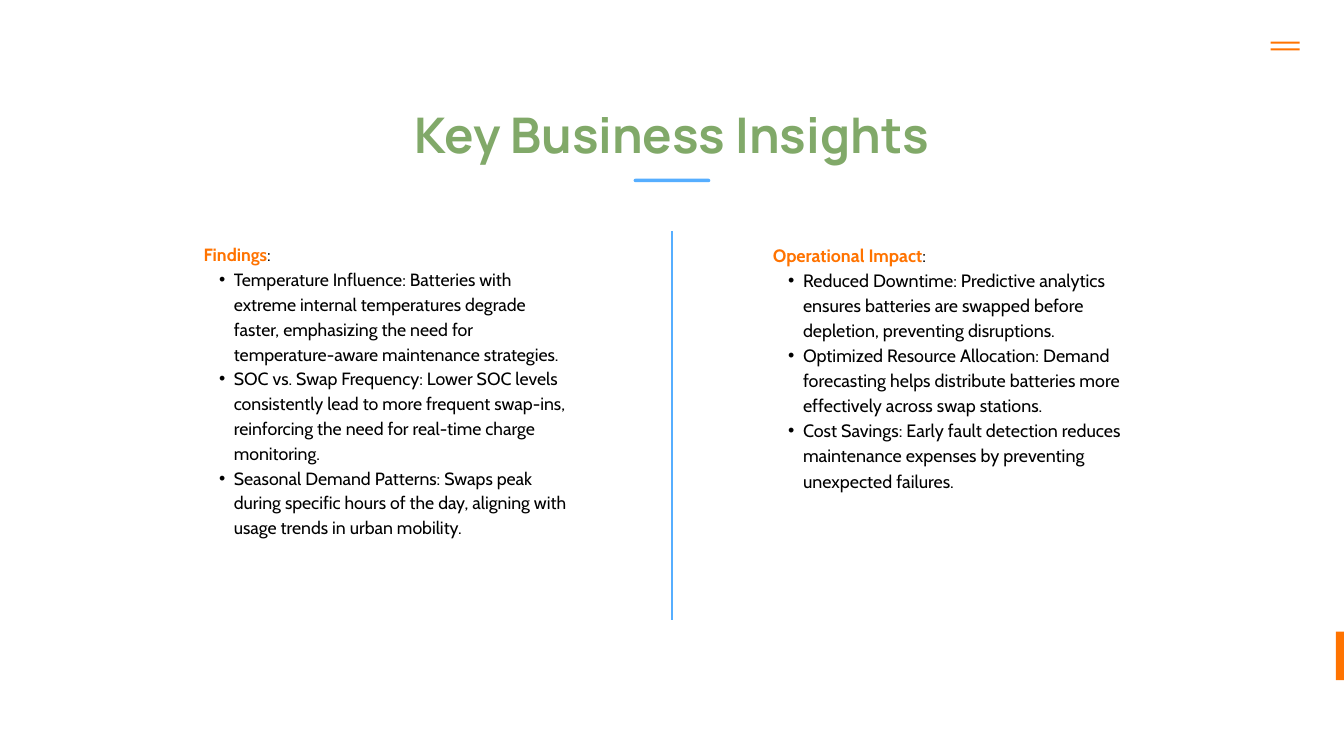
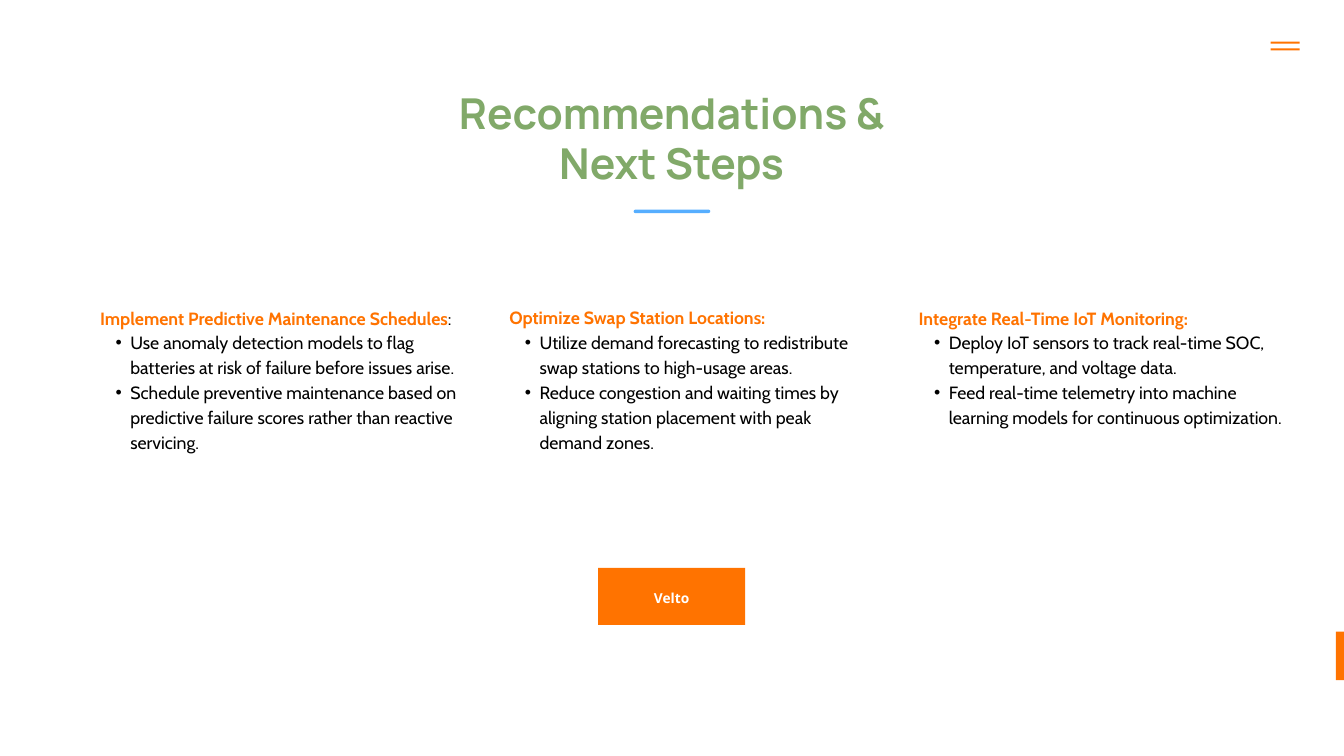
from dataclasses import dataclass

from lxml import etree
from pptx import Presentation
from pptx import util as u
from pptx.dml.color import RGBColor
from pptx.enum import shapes, text
from pptx.oxml import ns

In = u.Inches


@dataclass(frozen=True)
class Theme:
    orange: RGBColor = RGBColor.from_string("FF7300")
    blue: RGBColor = RGBColor.from_string("56AEFF")
    green: RGBColor = RGBColor.from_string("81A969")
    black: RGBColor = RGBColor.from_string("000000")
    white: RGBColor = RGBColor.from_string("FFFFFF")
    head: str = "Manrope"
    body: str = "Cabin"
    label: str = "Open Sans"
    label_size: float = 14.7
    leading: float = 1.4


@dataclass(frozen=True)
class Box:
    left: float
    top: float
    width: float
    height: float

    def lengths(self) -> tuple:
        return In(self.left), In(self.top), In(self.width), In(self.height)


@dataclass(frozen=True)
class Title:
    words: str
    box: Box
    size: float
    leading: float
    rule: float  # top of the blue rule below


@dataclass(frozen=True)
class Column:
    box: Box
    head: str
    items: tuple[str, ...]
    tail: str = ""  # black end of the heading
    size: float = 19


THEME = Theme()
WIDE, HIGH = 20, 11.25
MENU = [Box(18.91, top, 0.43, 0.03) for top in (0.62, 0.72)]
TAB = Box(19.88, 9.4, 0.12, 0.72)
BUTTON = Box(8.9, 8.45, 2.19, 0.85)
RULE_WIDE, RULE_HIGH = 1.14, 0.05
INDENT, HANG = 0.45, 0.22
STEP_LEFT, STEP_PITCH, STEP_TOP, STEP_WIDE = 1.49, 6.09, 4.52, 5.47

INSIGHTS = Title("Key Business Insights", Box(5.76, 1.57, 8.47, 0.91), 52.6, 61.5, 2.66)
NEXT = Title("Recommendations & Next Steps", Box(6.31, 1.31, 7.37, 1.54), 45.6, 53.4, 3.12)

FINDINGS = [
    Column(Box(3.03, 3.58, 5.47, 5.46), "Findings", (
        "Temperature Influence: Batteries with extreme internal temperatures degrade faster, "
        "emphasizing the need for temperature-aware maintenance strategies.",
        "SOC vs. Swap Frequency: Lower SOC levels consistently lead to more frequent swap-ins, "
        "reinforcing the need for real-time charge monitoring.",
        "Seasonal Demand Patterns: Swaps peak during specific hours of the day, "
        "aligning with usage trends in urban mobility.",
    ), ":"),
    Column(Box(11.5, 3.58, 5.23, 4.73), "Operational Impact", (
        "Reduced Downtime: Predictive analytics ensures batteries are swapped before depletion, "
        "preventing disruptions.",
        "Optimized Resource Allocation: Demand forecasting helps distribute batteries more "
        "effectively across swap stations.",
        "Cost Savings: Early fault detection reduces maintenance expenses by preventing "
        "unexpected failures.",
    ), ":", 19.2),
]


def step(place: int, high: float, head: str, items: tuple[str, ...], tail: str = "") -> Column:
    left = STEP_LEFT + place * STEP_PITCH
    return Column(Box(left, STEP_TOP, STEP_WIDE, high), head, items, tail)


STEPS = [
    step(0, 2.91, "Implement Predictive Maintenance Schedules", (
        "Use anomaly detection models to flag batteries at risk of failure before issues arise.",
        "Schedule preventive maintenance based on predictive failure scores rather than "
        "reactive servicing.",
    ), ":"),
    step(1, 2.54, "Optimize Swap Station Locations:", (
        "Utilize demand forecasting to redistribute swap stations to high-usage areas.",
        "Reduce congestion and waiting times by aligning station placement with peak "
        "demand zones.",
    )),
    step(2, 2.18, "Integrate Real-Time IoT Monitoring:", (
        "Deploy IoT sensors to track real-time SOC, temperature, and voltage data.",
        "Feed real-time telemetry into machine learning models for continuous optimization.",
    )),
]


def style(para, name: str, size: float, color: RGBColor, bold: bool, leading: float) -> None:
    para.line_spacing = u.Pt(leading)
    font = para.font
    font.name, font.size, font.bold = name, u.Pt(size), bold
    font.color.rgb = color


def reset(frame, anchor=text.MSO_ANCHOR.TOP) -> None:
    frame.word_wrap = True
    frame.auto_size = text.MSO_AUTO_SIZE.NONE
    frame.vertical_anchor = anchor
    frame.margin_left = frame.margin_top = frame.margin_right = frame.margin_bottom = 0


def add_bar(slide, box: Box, color: RGBColor, kind=shapes.MSO_SHAPE.RECTANGLE):
    bar = slide.shapes.add_shape(kind, *box.lengths())
    bar.shadow.inherit = False
    bar.fill.solid()
    bar.fill.fore_color.rgb = color
    bar.line.fill.background()
    return bar


def add_title(slide, title: Title) -> None:
    shape = slide.shapes.title
    shape.left, shape.top, shape.width, shape.height = title.box.lengths()
    frame = shape.text_frame
    reset(frame)
    frame.text = title.words
    para = frame.paragraphs[0]
    para.alignment = text.PP_ALIGN.CENTER
    style(para, THEME.head, title.size, THEME.green, True, title.leading)
    rule = Box((WIDE - RULE_WIDE) / 2, title.rule, RULE_WIDE, RULE_HIGH)
    bar = add_bar(slide, rule, THEME.blue, shapes.MSO_SHAPE.ROUNDED_RECTANGLE)
    bar.adjustments[0] = 0.5


def add_bullet(para) -> None:
    para.level = 1
    props = para._p.get_or_add_pPr()
    props.set("marL", str(In(INDENT)))
    props.set("indent", str(-In(HANG)))
    etree.SubElement(props, ns.qn("a:buFont")).set("typeface", "Arial")
    etree.SubElement(props, ns.qn("a:buChar")).set("char", "•")


def add_column(slide, col: Column) -> None:
    frame = slide.shapes.add_textbox(*col.box.lengths()).text_frame
    reset(frame)
    leading = round(col.size * THEME.leading, 1)

    # Heading
    para = frame.paragraphs[0]
    style(para, THEME.body, col.size, THEME.orange, True, leading)
    para.add_run().text = col.head
    if col.tail:
        run = para.add_run()
        run.text = col.tail
        run.font.bold = False
        run.font.color.rgb = THEME.black

    # Points
    for item in col.items:
        para = frame.add_paragraph()
        para.text = item
        add_bullet(para)
        style(para, THEME.body, col.size, THEME.black, False, leading)


def add_divider(slide) -> None:
    mid = In(WIDE / 2)
    line = slide.shapes.add_connector(
        shapes.MSO_CONNECTOR.STRAIGHT, mid, In(3.44), mid, In(9.22))
    line.line.color.rgb = THEME.blue
    line.line.width = u.Pt(3)
    etree.SubElement(line._element.spPr, ns.qn("a:effectLst"))


def add_button(slide, words: str) -> None:
    frame = add_bar(slide, BUTTON, THEME.orange).text_frame
    reset(frame, text.MSO_ANCHOR.MIDDLE)
    frame.text = words
    para = frame.paragraphs[0]
    para.alignment = text.PP_ALIGN.CENTER
    style(para, THEME.label, THEME.label_size, THEME.white, True, 20.6)


def add_page(deck, title: Title, cols: list[Column]):
    slide = deck.slides.add_slide(deck.slide_layouts.get_by_name("Title Only"))
    # Menu mark and side tab
    for box in (*MENU, TAB):
        add_bar(slide, box, THEME.orange)
    add_title(slide, title)
    for col in cols:
        add_column(slide, col)
    return slide


def main() -> None:
    deck = Presentation()
    deck.slide_width, deck.slide_height = In(WIDE), In(HIGH)
    add_divider(add_page(deck, INSIGHTS, FINDINGS))
    add_button(add_page(deck, NEXT, STEPS), "Velto")
    deck.save("out.pptx")


if __name__ == "__main__":
    main()
